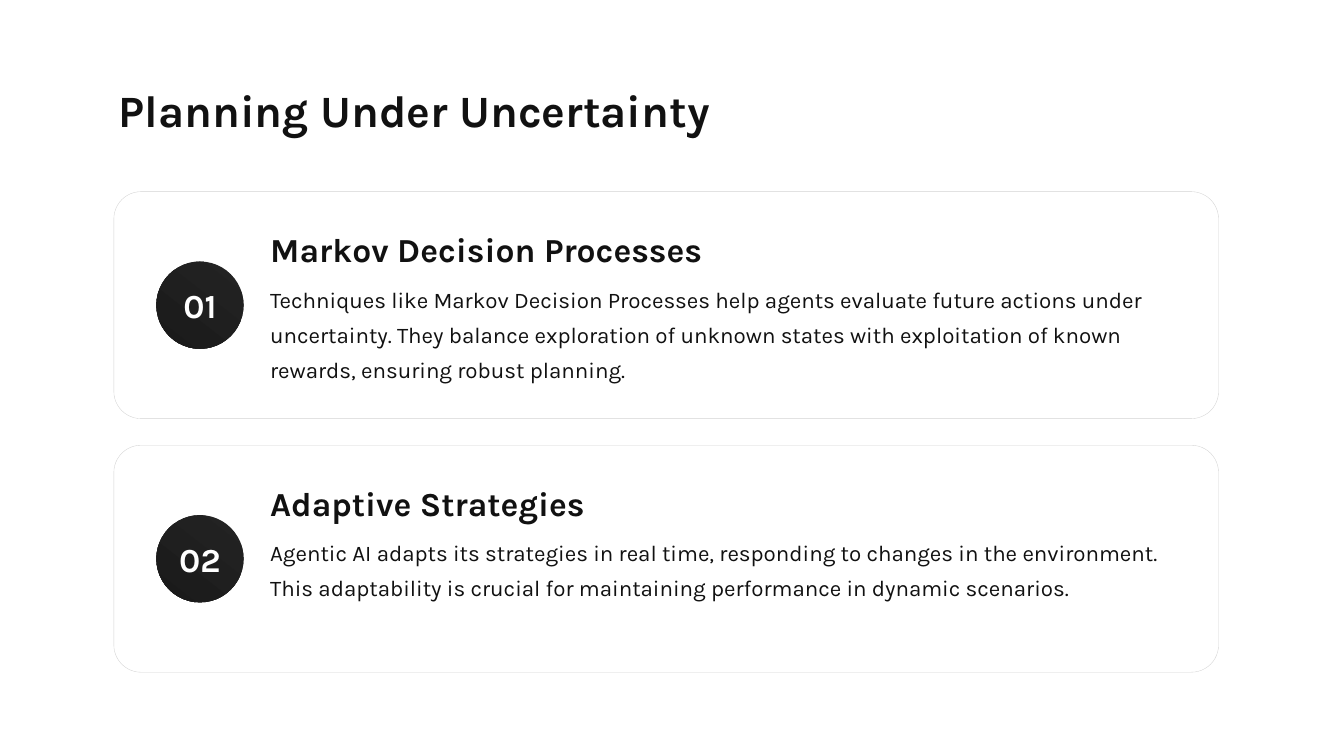
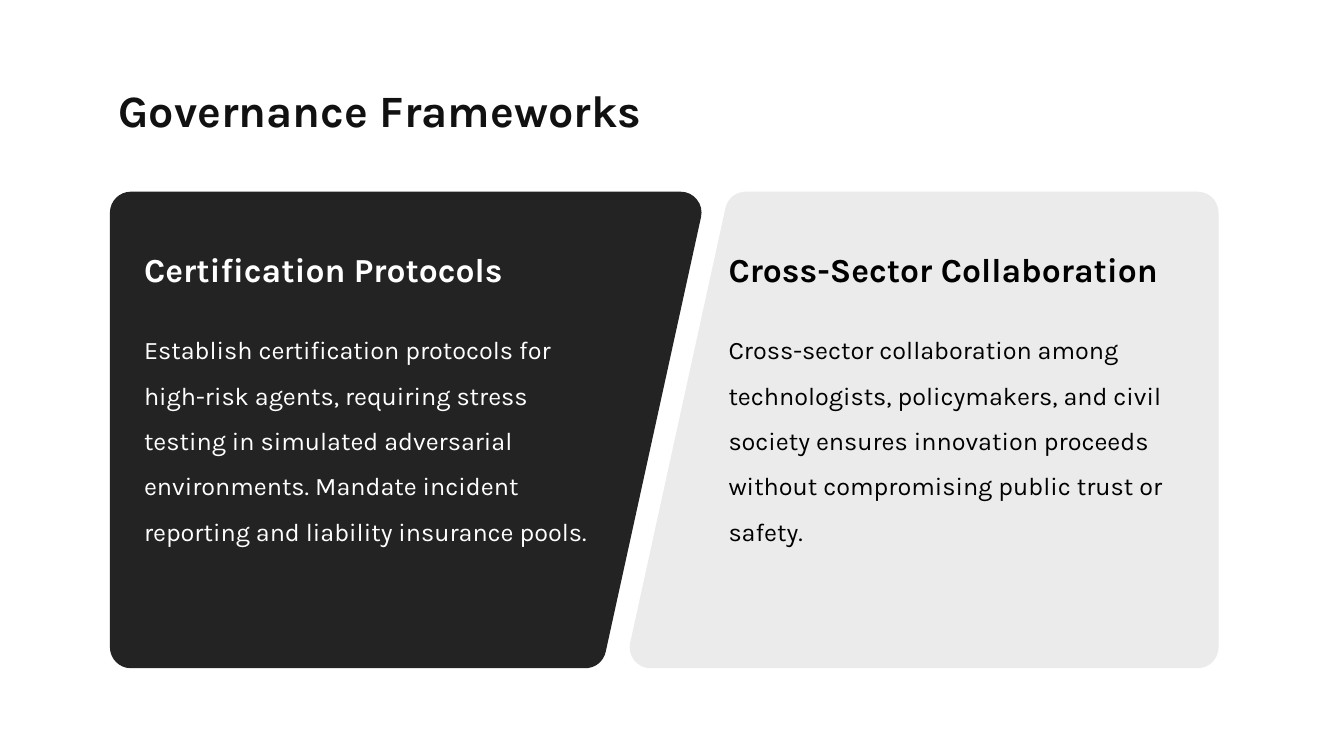
import pptx
import pptx.dml.color
import pptx.enum.shapes
import pptx.enum.text
import pptx.oxml
import pptx.oxml.ns
import pptx.util

Cm = pptx.util.Cm
Pt = pptx.util.Pt
ANCHOR = pptx.enum.text.MSO_ANCHOR
ALIGN = pptx.enum.text.PP_ALIGN
SHAPE = pptx.enum.shapes.MSO_SHAPE

FONT = "Karla"
INK = "111111"
DARK = "232323"
DARKER = "1A1A1A"
PALE = "EBEBEB"
WHITE = "FFFFFF"
BLACK = "000000"


def drawing_element(tag, **attributes):
    element = pptx.oxml.parse_xml(f"<a:{tag} {pptx.oxml.ns.nsdecls('a')}/>")
    for name, value in attributes.items():
        element.set(name, str(value))
    return element


def colour(code):
    return pptx.dml.color.RGBColor.from_string(code)


def paint(fill, code):
    fill.solid()
    fill.fore_color.rgb = colour(code)


def write(frame, text, size, code, bold=False, align=ALIGN.LEFT,
          anchor=ANCHOR.TOP, spacing=1.0, inset=True):
    frame.word_wrap = True
    frame.vertical_anchor = anchor
    if not inset:
        frame.margin_left = frame.margin_right = 0
        frame.margin_top = frame.margin_bottom = 0
    para = frame.paragraphs[0]
    para.alignment = align
    para.line_spacing = spacing
    span = para.add_run()
    span.text = text
    span.font.name = FONT
    span.font.size = Pt(size)
    span.font.bold = bold
    span.font.color.rgb = colour(code)


def add_text(page, left, top, width, height, text, size, code, **style):
    box = page.shapes.add_textbox(Cm(left), Cm(top), Cm(width), Cm(height))
    write(box.text_frame, text, size, code, **style)


def add_page(deck, title):
    page = deck.slides.add_slide(deck.slide_layouts[6])
    add_text(page, 2.74, 1.96, 29.26, 1.4, title, 32, INK, bold=True)
    return page


def add_badge(page, left, top, size, label):
    badge = page.shapes.add_shape(SHAPE.OVAL, Cm(left), Cm(top), Cm(size), Cm(size))
    badge.shadow.inherit = False
    badge.line.fill.background()
    badge.fill.gradient()
    badge.fill.gradient_angle = 232
    for stop, code in zip(badge.fill.gradient_stops, (DARK, DARKER)):
        stop.color.rgb = colour(code)
    write(badge.text_frame, label, 24, WHITE, bold=True,
          align=ALIGN.CENTER, anchor=ANCHOR.MIDDLE, inset=False)


def add_card(page, left, top, width, height, label, heading, body):
    card = page.shapes.add_shape(SHAPE.ROUNDED_RECTANGLE, Cm(left), Cm(top),
                                 Cm(width), Cm(height))
    card.adjustments[0] = 0.12
    card.shadow.inherit = False
    paint(card.fill, WHITE)
    paint(card.line.fill, DARK)
    card.line.width = Pt(0.25)
    card.line.fill.fore_color._xFill[0].append(drawing_element("alpha", val=20000))

    badge_size = 2.2
    add_badge(page, left + 1.07, top + (height - badge_size) / 2, badge_size, label)
    text_left = left + 3.94
    add_text(page, text_left, top + 0.74, 22.8, 1.22, heading, 24, INK,
             bold=True, anchor=ANCHOR.BOTTOM, inset=False)
    add_text(page, text_left, top + 2.17, 22.7, 3.08, body, 16, INK,
             spacing=1.3, inset=False)


def add_panel(page, points, code):
    corners = [(Cm(x), Cm(y)) for x, y in points]
    builder = page.shapes.build_freeform(*corners[0])
    builder.add_line_segments(corners[1:], close=True)
    panel = builder.convert_to_shape()
    panel.shadow.inherit = False
    paint(panel.fill, code)
    paint(panel.line.fill, code)
    panel.line.width = Pt(30)
    panel.line._get_or_add_ln().append(drawing_element("round"))


def add_panel_text(page, left, top, heading, body, code):
    add_text(page, left, top + 0.91, 11.63, 1.02, heading, 24, code,
             bold=True, anchor=ANCHOR.BOTTOM, inset=False)
    add_text(page, left, top + 2.69, 11.63, 5.72, body, 18, code,
             spacing=1.5, inset=False)


def add_slanted_pair(page, left, top, width, height, first, second):
    slant, gap, first_width = 2.4, 1.65, 13.85
    right, bottom = left + width, top + height
    edge = left + first_width
    add_panel(page, [(left, top), (edge, top), (edge - slant, bottom),
                     (left, bottom)], DARK)
    add_panel(page, [(edge + gap, top), (right, top), (right, bottom),
                     (edge + gap - slant, bottom)], PALE)
    add_panel_text(page, left + 0.33, top, *first, WHITE)
    add_panel_text(page, left + 15.06, top, *second, BLACK)


def build_planning(deck):
    page = add_page(deck, "Planning Under Uncertainty")
    cards = [
        ("Markov Decision Processes",
         "Techniques like Markov Decision Processes help agents evaluate future "
         "actions under uncertainty. They balance exploration of unknown states "
         "with exploitation of known rewards, ensuring robust planning."),
        ("Adaptive Strategies",
         "Agentic AI adapts its strategies in real time, responding to changes in "
         "the environment. This adaptability is crucial for maintaining "
         "performance in dynamic scenarios."),
    ]
    height, gap = 5.72, 0.67
    for index, (heading, body) in enumerate(cards):
        add_card(page, 2.87, 4.83 + index * (height + gap), 27.84, height,
                 f"{index + 1:02}", heading, body)


def build_governance(deck):
    page = add_page(deck, "Governance Frameworks")
    add_slanted_pair(
        page, 3.3, 5.36, 26.88, 10.95,
        ("Certification Protocols",
         "Establish certification protocols for high-risk agents, requiring stress "
         "testing in simulated adversarial environments. Mandate incident "
         "reporting and liability insurance pools."),
        ("Cross-Sector Collaboration",
         "Cross-sector collaboration among technologists, policymakers, and civil "
         "society ensures innovation proceeds without compromising public trust "
         "or safety."))


def main():
    deck = pptx.Presentation()
    deck.slide_width = Cm(33.87)
    deck.slide_height = Cm(19.05)
    build_planning(deck)
    build_governance(deck)
    deck.save("out.pptx")


if __name__ == "__main__":
    main()
